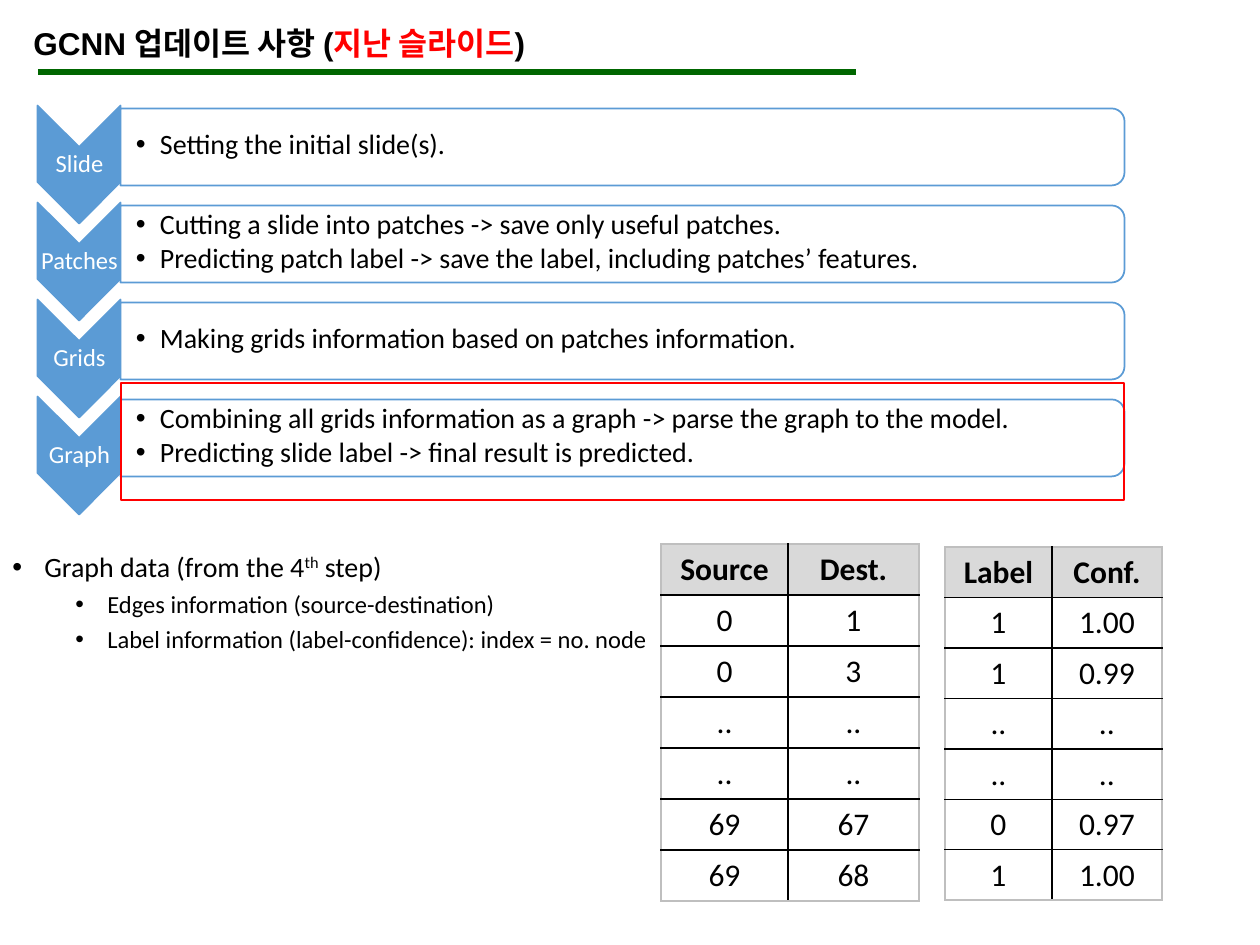
import lxml.etree
import pptx
import pptx.dml.color
import pptx.enum.shapes
import pptx.enum.text
import pptx.oxml.ns
import pptx.util

SCALE = 914400 / 126
COLORS = {"black": "000000", "white": "FFFFFF", "red": "FF0000", "green": "006600",
          "blue": "5B9BD5", "header": "D9D9D9", "frame": "BFBFBF"}
RGB = {name: pptx.dml.color.RGBColor.from_string(code) for name, code in COLORS.items()}
SHAPES = pptx.enum.shapes.MSO_SHAPE
CENTER = pptx.enum.text.PP_ALIGN.CENTER
MIDDLE = pptx.enum.text.MSO_ANCHOR.MIDDLE
qn = pptx.oxml.ns.qn


def px(*lengths):
    """Turn pixel lengths into a list of EMU."""
    return [pptx.util.Emu(round(length * SCALE)) for length in lengths]


def add_run(paragraph, text, size, color="black", font="Calibri", bold=False):
    run = paragraph.add_run()
    run.text = text
    run.font.size = pptx.util.Pt(size)
    run.font.name = font
    run.font.bold = bold
    run.font.color.rgb = RGB[color]
    return run


prs = pptx.Presentation()
prs.slide_width, prs.slide_height = px(1260, 945)
slide = prs.slides.add_slide(prs.slide_layouts[6])
shapes = slide.shapes

# Title and its rule
rule = shapes.add_connector(pptx.enum.shapes.MSO_CONNECTOR.STRAIGHT, *px(38, 72, 856, 72))
rule.line.color.rgb = RGB["green"]
rule.line.width = pptx.util.Pt(3)
lxml.etree.SubElement(rule._element.spPr, qn("a:effectLst"))

title = shapes.add_textbox(*px(21, 18, 785, 50)).text_frame
title.word_wrap = True
for text, color in [("GCNN 업데이트 사항 (", "black"), ("지난 슬라이드", "red"), (")", "black")]:
    add_run(title.paragraphs[0], text, 18, color, "Arial", True)

# Steps of the process
steps = [
    ("Slide", ["Setting the initial slide(s)."]),
    ("Patches", ["Cutting a slide into patches -> save only useful patches.",
                 "Predicting patch label -> save the label, including patches’ features."]),
    ("Grids", ["Making grids information based on patches information."]),
    ("Graph", ["Combining all grids information as a graph -> parse the graph to the model.",
               "Predicting slide label -> final result is predicted."]),
]
bullets = []  # paragraph, left margin px, hanging px
for index, (step, details) in enumerate(steps):
    y = index * 97
    chevron = shapes.add_shape(SHAPES.CHEVRON, *px(20, 123 + y, 118, 83))
    panel = shapes.add_shape(SHAPES.ROUND_2_SAME_RECTANGLE, *px(584, y - 355, 77, 1004))
    for part, fill in [(chevron, "blue"), (panel, "white")]:
        part.rotation = 90
        part.shadow.inherit = False
        part.fill.solid()
        part.fill.fore_color.rgb = RGB[fill]
        part.line.color.rgb = RGB["blue"]
        part.line.width = pptx.util.Pt(1)
    panel_color = panel._element.spPr.find(qn("a:solidFill")).find(qn("a:srgbClr"))
    lxml.etree.SubElement(panel_color, qn("a:alpha")).set("val", "90000")

    label = shapes.add_textbox(*px(38, 147 + y, 83, 35)).text_frame
    detail = shapes.add_textbox(*px(121, 111 + y, 1000, 69)).text_frame
    for frame, inset in [(label, 1), (detail, 15)]:
        frame.word_wrap = True
        frame.vertical_anchor = MIDDLE
        (frame.margin_left, frame.margin_top,
         frame.margin_right, frame.margin_bottom) = px(inset, 1, 1, 1)

    name = label.paragraphs[0]
    name.alignment = CENTER
    name.line_spacing = 0.9
    name.space_after = pptx.util.Pt(4.9)
    add_run(name, step, 14, "white")

    for number, text in enumerate(details):
        paragraph = detail.add_paragraph() if number else detail.paragraphs[0]
        paragraph.line_spacing = 0.9
        paragraph.space_after = pptx.util.Pt(2.4)
        add_run(paragraph, text, 16)
        bullets.append((paragraph, 24, 24))

highlight = shapes.add_shape(SHAPES.RECTANGLE, *px(121, 383, 1003, 117))
highlight.shadow.inherit = False
highlight.fill.background()
highlight.line.color.rgb = RGB["red"]
highlight.line.width = pptx.util.Pt(1)

# Notes on the graph data
graph_data = shapes.add_textbox(*px(0, 547, 1057, 142)).text_frame
graph_data.word_wrap = True
heading = graph_data.paragraphs[0]
heading.line_spacing = 0.9
add_run(heading, "Graph data (from the 4", 16)
add_run(heading, "th", 16)._r.get_or_add_rPr().set("baseline", "30000")
add_run(heading, " step)", 16)
bullets.append((heading, 32, 32))
for text in ["Edges information (source-destination)",
             "Label information (label-confidence): index = no. node"]:
    item = graph_data.add_paragraph()
    item.level = 1
    item.line_spacing = 0.9
    item.space_before = pptx.util.Pt(5)
    add_run(item, text, 14)
    bullets.append((item, 95, 32))

for paragraph, left, hanging in bullets:
    properties = paragraph._p.get_or_add_pPr()
    margin, indent = px(left, -hanging)
    properties.set("marL", str(margin))
    properties.set("indent", str(indent))
    lxml.etree.SubElement(properties, qn("a:buFont")).set("typeface", "Arial")
    lxml.etree.SubElement(properties, qn("a:buChar")).set("char", "•")

# Edge and label tables
edges = [("Source", "Dest."), ("0", "1"), ("0", "3"), ("..", ".."), ("..", ".."),
         ("69", "67"), ("69", "68")]
labels = [("Label", "Conf."), ("1", "1.00"), ("1", "0.99"), ("..", ".."), ("..", ".."),
          ("0", "0.97"), ("1", "1.00")]
for rows, left, top, widths, height in [(edges, 661, 544, (127, 131), 51),
                                        (labels, 945, 547, (107, 110), 50)]:
    table = shapes.add_table(len(rows), 2, *px(left, top, sum(widths), height * len(rows))).table
    table.horz_banding = False
    for column, width in zip(table.columns, px(*widths)):
        column.width = width
    for r, row in enumerate(rows):
        table.rows[r].height = px(height)[0]
        for c, text in enumerate(row):
            cell = table.cell(r, c)
            outer = {"lnL": c == 0, "lnR": c == 1, "lnT": r == 0, "lnB": r == len(rows) - 1}
            for side, is_outer in outer.items():
                border = lxml.etree.SubElement(cell._tc.get_or_add_tcPr(), qn("a:" + side))
                border.set("w", "12700")
                fill = lxml.etree.SubElement(border, qn("a:solidFill"))
                color = COLORS["frame" if is_outer else "black"]
                lxml.etree.SubElement(fill, qn("a:srgbClr")).set("val", color)
            if r == 0:
                cell.fill.solid()
                cell.fill.fore_color.rgb = RGB["header"]
            else:
                cell.fill.background()
            paragraph = cell.text_frame.paragraphs[0]
            paragraph.alignment = CENTER
            add_run(paragraph, text, 18, bold=r == 0)

prs.save("out.pptx")
